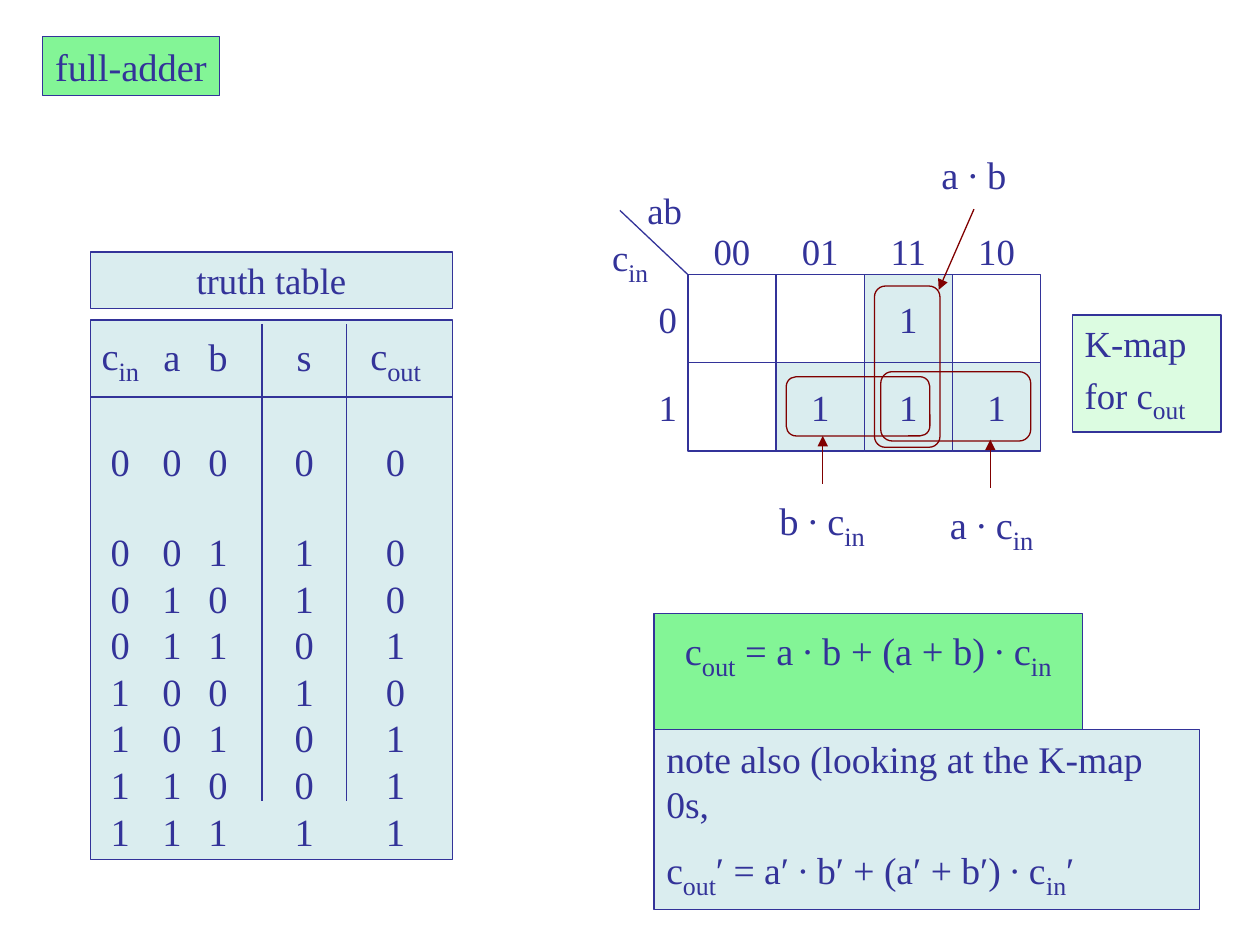
import pptx
import pptx.util
import pptx.dml.color
import pptx.enum.shapes
import pptx.enum.text
import pptx.oxml.ns
import lxml.etree

COLORS = {"ink": "333399", "loop": "800000", "green": "83F596",
          "mint": "DCFCE1", "pale": "DAEDEF", "white": "FFFFFF"}
RGB = {k: pptx.dml.color.RGBColor.from_string(v) for k, v in COLORS.items()}
FONT = "Times New Roman"
SHAPE = pptx.enum.shapes.MSO_SHAPE
LEFT, CENTER = pptx.enum.text.PP_ALIGN.LEFT, pptx.enum.text.PP_ALIGN.CENTER
TOP, MIDDLE = pptx.enum.text.MSO_ANCHOR.TOP, pptx.enum.text.MSO_ANCHOR.MIDDLE
qn = pptx.oxml.ns.qn

prs = pptx.Presentation()
prs.slide_width, prs.slide_height = pptx.util.Inches(10), pptx.util.Inches(7.5)
s = prs.slides.add_slide(prs.slide_layouts[6])
U = prs.slide_width // 100  # the slide is a grid of 100 columns by 75 rows


def write(tf, lines, size, align=LEFT, gap=0):
    """One paragraph per line; runs are split by | and a leading _ means subscript."""
    for i, line in enumerate(lines):
        p = tf.paragraphs[0] if i == 0 else tf.add_paragraph()
        p.alignment = align
        p.space_before = pptx.util.Pt(gap if i else 0)
        for part in line.split("|"):
            r = p.add_run()
            r.text = part.lstrip("_")
            r.font.name, r.font.color.rgb = FONT, RGB["ink"]
            sub = part.startswith("_")
            r.font.size = pptx.util.Pt(size + 4 if sub else size)
            if sub:
                r.font._element.set("baseline", "-25000")


def box(at, lines=(), size=21, fill=None, line="ink", align=LEFT, anchor=TOP,
        wrap=True, gap=0, shape=SHAPE.RECTANGLE):
    sp = s.shapes.add_shape(shape, *[round(v * U) for v in at])
    sp.shadow.inherit = False
    if fill:
        sp.fill.solid()
        sp.fill.fore_color.rgb = RGB[fill]
    else:
        sp.fill.background()
    if line:
        sp.line.color.rgb, sp.line.width = RGB[line], pptx.util.Pt(0.75)
    else:
        sp.line.fill.background()
    tf = sp.text_frame
    tf.word_wrap, tf.vertical_anchor = wrap, anchor
    write(tf, lines, size, align, gap)


# Title and truth table heading
box((3.4, 2.9, 14, 4.7), ["full-adder"], 22, "green", wrap=False)
box((7.2, 20, 28.7, 4.5), ["truth table"], 21, "pale", align=CENTER)

# Truth table
box((7.2, 25.4, 28.7, 42.8), fill="pale")
rows = [["c|_in", "a", "b", "s", "c|_out"]]
for n in range(8):
    c, a, b = n >> 2, n >> 1 & 1, n & 1
    rows.append([str(v) for v in (c, a, b, (a + b + c) % 2, (a + b + c) // 2)])
widths = [4.7, 3.5, 5.4, 6.7, 8.4]
right_margins = [0, 0, 1.6, 0, 0.6]
heights = [6.1, 10.6] + [3.7] * 7
table = s.shapes.add_table(len(rows), len(widths), round(7.2 * U), round(25.4 * U),
                           round(sum(widths) * U), round(sum(heights) * U)).table
table.first_row = table.horz_banding = False
table._tbl.tblPr.find(qn("a:tableStyleId")).text = "{2D5ABB26-0587-4C30-8999-92F81FD0307C}"
for j, width in enumerate(widths):
    table.columns[j].width = round(width * U)
for i, row in enumerate(rows):
    table.rows[i].height = round(heights[i] * U)
    for j, value in enumerate(row):
        cell = table.cell(i, j)
        cell.fill.background()
        cell.margin_left = cell.margin_top = cell.margin_bottom = 0
        cell.margin_right = round(right_margins[j] * U)
        cell.vertical_anchor = MIDDLE
        write(cell.text_frame, [value], 22, CENTER)

# K-map grid with its row and column labels
X, Y, CELL = 54.6, 21.8, 7
for i, marks in enumerate(["0010", "0111"]):
    box((50.6, Y + i * CELL, 4.8, CELL), [str(i)], line=None,
        align=CENTER, anchor=MIDDLE, wrap=False)
    for j, mark in enumerate(marks):
        on = mark == "1"
        box((X + j * CELL, Y + i * CELL, CELL, CELL), ["1"] if on else [],
            fill="pale" if on else "white", align=CENTER, anchor=MIDDLE)
for j, label in enumerate(["00", "01", "11", "10"]):
    box((X + j * CELL, 17.7, CELL, 4.5), [label], line=None, align=CENTER)
box((50.4, 14.4, 4.7, 4.5), ["ab"], line=None, wrap=False)
box((47.6, 17.6, 4.8, 5.8), ["c|_in"], line=None, wrap=False)

# Loops round the grouped ones, and their terms
for at in [(62.4, 29.9, 11.4, 4.7), (69.9, 29.5, 11.9, 5.5), (69.4, 22.7, 5.2, 12.8)]:
    box(at, line="loop", shape=SHAPE.ROUNDED_RECTANGLE)
for at, term in [((73.6, 11.5, 7.4, 8.4), "a ∙ b"),
                 ((74.2, 38.7, 9, 10.9), "a ∙ c|_in"),
                 ((60.4, 38.4, 9.7, 10.9), "b ∙ c|_in")]:
    box(at, [term], 22, line=None, align=CENTER)

# Rules and arrows: start, end, colour, arrowhead
for *ends, color, arrow in [
        (7.2, 31.5, 35.9, 31.5, "ink", False),
        (20.8, 25.7, 20.8, 63.6, "ink", False),
        (27.5, 25.7, 27.5, 63.6, "ink", False),
        (X, Y, 49.2, 16.7, "ink", False),
        (65.3, 38.4, 65.3, 34.6, "loop", True),
        (78.6, 38.7, 78.6, 34.9, "loop", True),
        (77.3, 16.6, 74.5, 23, "loop", True)]:
    cn = s.shapes.add_connector(pptx.enum.shapes.MSO_CONNECTOR.STRAIGHT,
                                *[round(v * U) for v in ends])
    cn.line.color.rgb, cn.line.width = RGB[color], pptx.util.Pt(0.75)
    if arrow:
        lxml.etree.SubElement(cn.line._get_or_add_ln(), qn("a:tailEnd"), type="triangle")
    lxml.etree.SubElement(cn._element.spPr, qn("a:effectLst"))

# K-map caption and resulting equations
box((85.1, 25, 11.8, 9.3), ["K-map", "for c|_out"], 21, "mint")
box((51.9, 48.7, 34, 10.9), ["c|_out| = a ∙ b + (a + b) ∙ c|_in"], 22, "green", align=CENTER)
box((51.9, 57.9, 43.3, 14.3), ["note also (looking at the K-map 0s,",
                               "c|_out|ʹ = aʹ ∙ bʹ + (aʹ + bʹ) ∙ c|_in|ʹ"], 21.5, "pale", gap=8)

prs.save("out.pptx")
